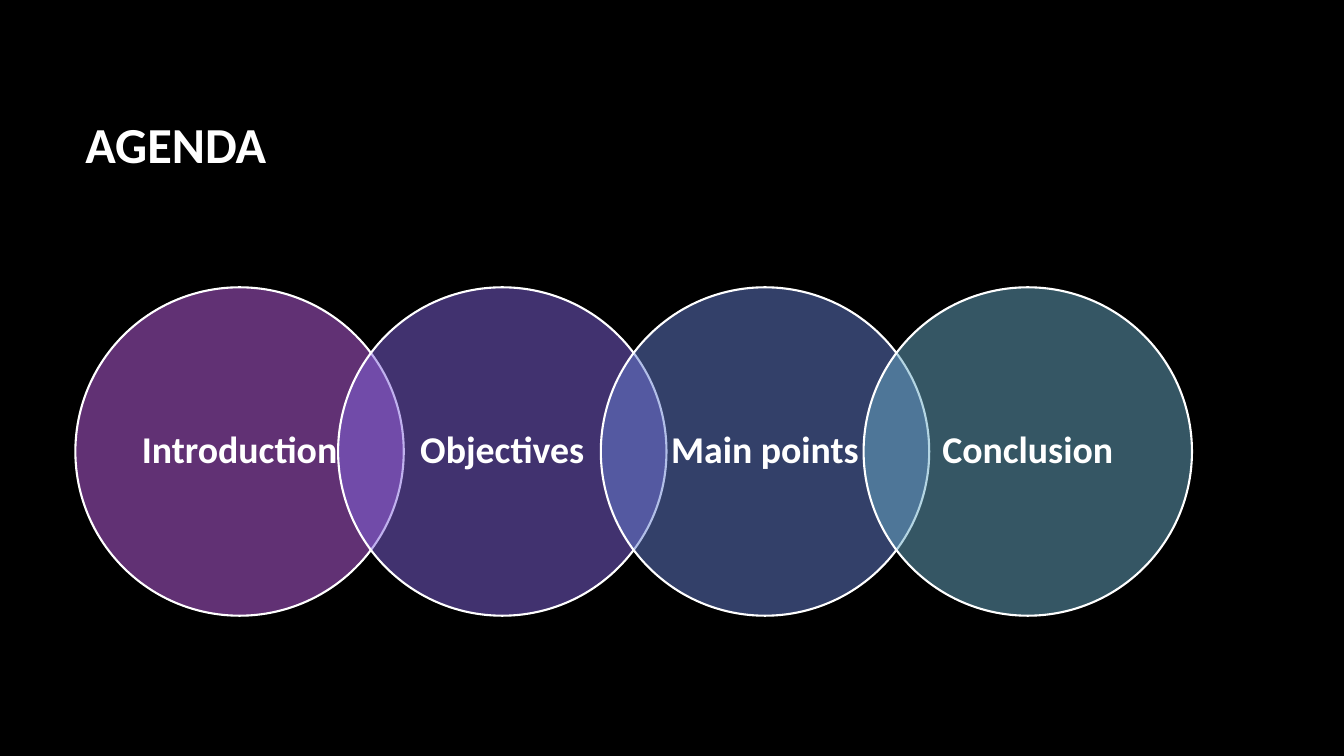
from dataclasses import dataclass
from math import sqrt

from lxml import etree
from pptx import Presentation
from pptx.dml.color import RGBColor
from pptx.enum.shapes import MSO_SHAPE
from pptx.enum.text import MSO_ANCHOR, PP_ALIGN
from pptx.oxml.ns import qn
from pptx.util import Cm, Pt

OVAL = MSO_SHAPE.OVAL
MIDDLE = MSO_ANCHOR.MIDDLE
LEFT = PP_ALIGN.LEFT
CENTER = PP_ALIGN.CENTER


@dataclass(frozen=True)
class Theme:
    """Colours, font and sizes of the slide."""
    background: str = "000000"
    foreground: str = "FFFFFF"
    circles: tuple = ("C363E8", "8265DE", "6780D3", "6AADC8")
    opacity: int = 50
    font: str = "Calibri"
    title_size: int = 36
    label_size: int = 27
    outline: float = 1.5


THEME = Theme()
AGENDA = ("Introduction", "Objectives", "Main points", "Conclusion")
STEP_RATIO = 0.8


def add_text(slide, box, text, size, alignment, margin):
    """Add one bold, vertically centred line of text in the box."""
    frame = slide.shapes.add_textbox(*box).text_frame
    frame.word_wrap = True
    frame.vertical_anchor = MIDDLE
    frame.margin_left = frame.margin_right = margin
    paragraph = frame.paragraphs[0]
    paragraph.text = text
    paragraph.alignment = alignment
    paragraph.line_spacing = 0.9
    paragraph.font.name = THEME.font
    paragraph.font.size = Pt(size)
    paragraph.font.bold = True
    paragraph.font.color.rgb = RGBColor.from_string(THEME.foreground)


def add_circle(slide, left, top, diameter, color, label):
    """Add a translucent circle with a label in its inscribed square."""
    circle = slide.shapes.add_shape(OVAL, left, top, diameter, diameter)
    circle.shadow.inherit = False
    circle.fill.solid()
    circle.fill.fore_color.rgb = RGBColor.from_string(color)
    color_element = circle.fill._xPr.find(qn("a:solidFill"))[0]
    alpha = etree.SubElement(color_element, qn("a:alpha"))
    alpha.set("val", str(THEME.opacity * 1000))
    circle.line.color.rgb = RGBColor.from_string(THEME.foreground)
    circle.line.width = Pt(THEME.outline)

    side = int(diameter / sqrt(2))
    inset = (diameter - side) // 2
    box = (left + inset, top + inset, side, side)
    add_text(slide, box, label, THEME.label_size, CENTER, Cm(0.1))


def add_circle_chain(slide, box, labels):
    """Fill the width of the box with a row of overlapping circles."""
    left, top, width = box
    diameter = int(width / (1 + STEP_RATIO * (len(labels) - 1)))
    step = int(diameter * STEP_RATIO)
    for index, (label, color) in enumerate(zip(labels, THEME.circles)):
        add_circle(slide, left + index * step, top, diameter, color, label)


def build_agenda_slide(presentation):
    """Add the agenda slide with its title and circles."""
    slide = presentation.slides.add_slide(presentation.slide_layouts[6])
    slide.background.fill.solid()
    slide.background.fill.fore_color.rgb = RGBColor.from_string(THEME.background)
    left, width = Cm(1.9), Cm(28.14)
    title_box = (left, Cm(1.7), width, Cm(4.04))
    add_text(slide, title_box, "AGENDA", THEME.title_size, LEFT, Cm(0.25))
    add_circle_chain(slide, (left, Cm(7.24), width), AGENDA)


def main():
    """Build and save the presentation."""
    presentation = Presentation()
    presentation.slide_width = Cm(33.87)
    presentation.slide_height = Cm(19.05)
    build_agenda_slide(presentation)
    presentation.save("out.pptx")


if __name__ == "__main__":
    main()
